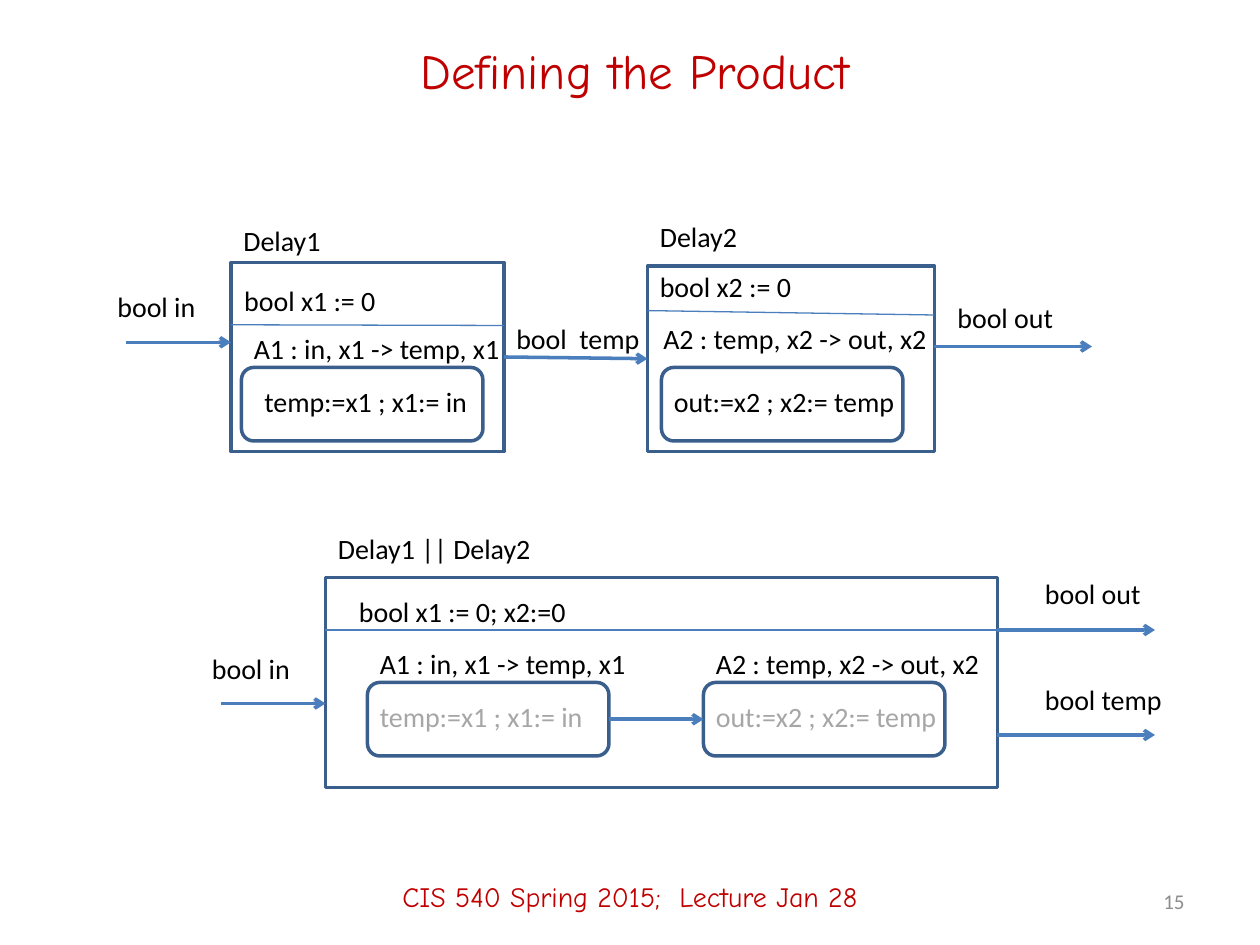
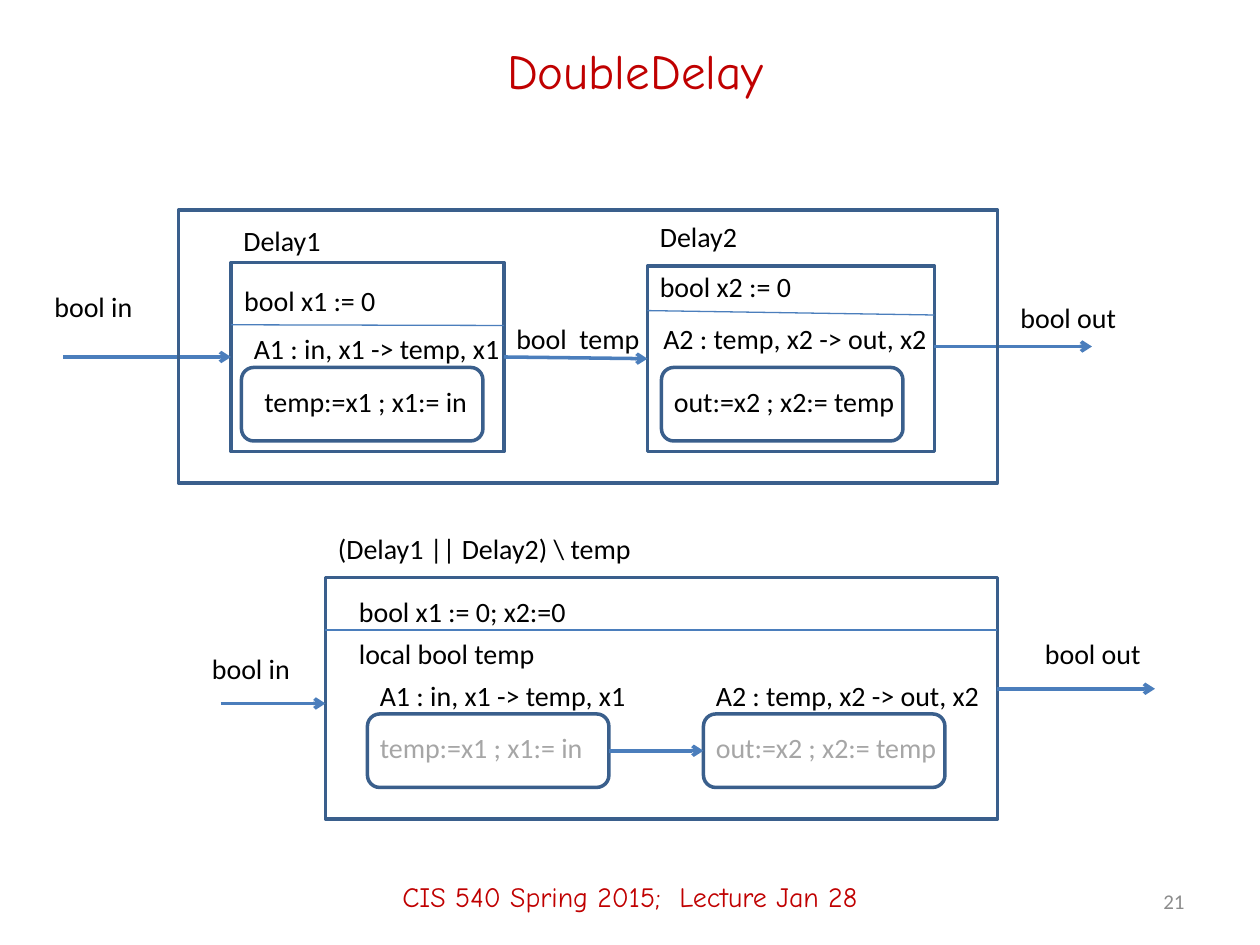
from pptx import Presentation
from pptx.dml.color import RGBColor
from pptx.enum import shapes, text
from pptx.oxml import parse_xml
from pptx.oxml.ns import nsdecls
from pptx.util import Pt

RED = RGBColor(0xC0, 0x00, 0x00)
BLACK = RGBColor(0x00, 0x00, 0x00)
GRAY = RGBColor(0xA6, 0xA6, 0xA6)
PALE = RGBColor(0x8C, 0x8C, 0x8C)
EDGE = RGBColor(0x3A, 0x5F, 0x8C)
WIRE = RGBColor(0x4B, 0x7E, 0xBC)
BODY, HEAD = "Calibri", "Comic Neue"
LEFT, RIGHT = 1, 3
ROW = 26.6

FOOT = "CIS 540 Spring 2015;  Lecture Jan 28"
TASKS = [
    ("A1 : in, x1 -> temp, x1", "temp:=x1 ; x1:= in"),
    ("A2 : temp, x2 -> out, x2", "out:=x2 ; x2:= temp"),
]
WIDTHS = {
    "bool in": 60, "bool out": 70, "bool temp": 82, "bool  temp": 86,
    "Delay1": 59, "Delay2": 59, "bool x1 := 0": 91, "bool x2 := 0": 91,
    "bool x1 := 0; x2:=0": 134, "local bool temp": 116,
    "Delay1 || Delay2": 126, "(Delay1 || Delay2) \\ temp": 184,
    TASKS[0][0]: 156, TASKS[1][0]: 167, TASKS[0][1]: 132, TASKS[1][1]: 142,
}

# Delay components: frame, rule heights, task box, then label places
DELAYS = [
    dict(frame=(132, 150, 156, 108), rule=(185.6, 186), task=(138, 210),
         labels=[("Delay1", 132, 124), ("bool x1 := 0", 132.5, 158.5),
                 (TASKS[0][0], 138, 186), (TASKS[0][1], 144, 216)]),
    dict(frame=(370, 152, 164, 106), rule=(177.5, 180), task=(378, 210),
         labels=[("Delay2", 370, 122), ("bool x2 := 0", 370, 150.5),
                 (TASKS[1][0], 372, 180), (TASKS[1][1], 378, 216)]),
]

# outs: label, label top, arrow height
SLIDES = [
    dict(title="Defining the Product", page="15", inx=60, outx=540,
         start=(72, 195.6), wrap=None, name="Delay1 || Delay2", high=120,
         task=390, local=None,
         outs=[("bool out", 326, 360), ("bool temp", 386.5, 420)]),
    dict(title="DoubleDelay", page="21", inx=24, outx=576,
         start=(36, 204), wrap=(102, 120, 468, 156),
         name="(Delay1 || Delay2) \\ temp", high=138,
         task=408, local="local bool temp",
         outs=[("bool out", 360, 393.6)]),
]


def write(slide, words, box, size=16, font=BODY, color=BLACK, align=None):
    frame = slide.shapes.add_textbox(*map(Pt, box)).text_frame
    frame.word_wrap = True
    frame.vertical_anchor = text.MSO_ANCHOR.MIDDLE
    para = frame.paragraphs[0]
    para.text = words
    para.alignment = align
    para.font.size, para.font.name = Pt(size), font
    para.font.color.rgb = color
    return frame


def label(slide, words, x, y, color=BLACK):
    frame = write(slide, words, (x, y, WIDTHS[words], ROW), color=color)
    frame.word_wrap = False
    frame.auto_size = text.MSO_AUTO_SIZE.SHAPE_TO_FIT_TEXT
    frame.vertical_anchor = text.MSO_ANCHOR.TOP


def block(slide, box, kind=shapes.MSO_SHAPE.RECTANGLE):
    shape = slide.shapes.add_shape(kind, *map(Pt, box))
    shape.shadow.inherit = False
    shape.fill.background()
    shape.line.color.rgb, shape.line.width = EDGE, Pt(2)
    return shape


def task(slide, x, y):
    return block(slide, (x, y, 138, 42), shapes.MSO_SHAPE.ROUNDED_RECTANGLE)


def wire(slide, start, end, width=2.0, arrow=True):
    """Draw a line; each end is a point or a (shape, side) pair to join."""
    ends = [(0, 0) if hasattr(e[0], "shape_id") else e for e in (start, end)]
    line = slide.shapes.add_connector(
        shapes.MSO_CONNECTOR.STRAIGHT, *[Pt(v) for e in ends for v in e])
    for spot, join in ((start, line.begin_connect), (end, line.end_connect)):
        if hasattr(spot[0], "shape_id"):
            join(*spot)
    line.line.color.rgb, line.line.width = WIRE, Pt(width)
    if arrow:
        line.line._get_or_add_ln().append(
            parse_xml(f'<a:tailEnd {nsdecls("a")} type="arrow"/>'))
    line._element.spPr.append(parse_xml(f'<a:effectLst {nsdecls("a")}/>'))


def rule(slide, start, end):
    wire(slide, start, end, 0.75, False)


def chain(slide, data):
    """Draw the two delay components in series."""
    frames = []
    for part in DELAYS:
        x, _, w, _ = part["frame"]
        frames.append(block(slide, part["frame"]))
        rule(slide, (x, part["rule"][0]), (x + w, part["rule"][1]))
        task(slide, *part["task"])
        for item in part["labels"]:
            label(slide, *item)
    one, two = frames
    wire(slide, (one, RIGHT), (two, LEFT))
    x, y = data["start"]
    x1, y1, _, h1 = DELAYS[0]["frame"]
    wire(slide, (x, y), (one, LEFT) if y == y1 + h1 / 2 else (x1, y))
    wire(slide, (534, 198), (624, 198))
    label(slide, "bool in", data["inx"], 162)
    label(slide, "bool  temp", 288, 180)
    label(slide, "bool out", data["outx"], 168)
    if data["wrap"]:
        block(slide, data["wrap"])


def product(slide, data):
    """Draw the composed component."""
    x, y, w = 186, 330, 384
    block(slide, (x, y, w, data["high"]))
    label(slide, data["name"], x, y - 30)
    rule(slide, (x, y + 30), (x + w, y + 30))
    label(slide, "bool x1 := 0; x2:=0", x + 12, y + 6)
    if data["local"]:
        label(slide, data["local"], x + 12, y + 30)
    wire(slide, (x - 60, 402), (x, 402))
    label(slide, "bool in", x - 72, 368.5)
    for name, top, mid in data["outs"]:
        wire(slide, (x + w, mid), (x + w + 90, mid))
        label(slide, name, x + w + 20, top)
    boxes = []
    top = data["task"]
    for i, (head, code) in enumerate(TASKS):
        left = 210 + 192 * i
        boxes.append(task(slide, left, top))
        label(slide, head, left, top - 24)
        label(slide, code, left, top + 6, GRAY)
    wire(slide, (boxes[0], RIGHT), (boxes[1], LEFT))


def main():
    deck = Presentation()
    deck.slide_width, deck.slide_height = Pt(720), Pt(540)
    mid, right = text.PP_ALIGN.CENTER, text.PP_ALIGN.RIGHT
    for data in SLIDES:
        slide = deck.slides.add_slide(deck.slide_layouts[6])
        write(slide, data["title"], (54, 12, 618, 56), 28, HEAD, RED, mid)
        chain(slide, data)
        product(slide, data)
        write(slide, FOOT, (0, 484, 720, 56), 16, HEAD, RED, mid)
        write(slide, data["page"], (516, 500.5, 168, 28.75), 12, BODY, PALE, right)
    deck.save("out.pptx")


if __name__ == "__main__":
    main()
